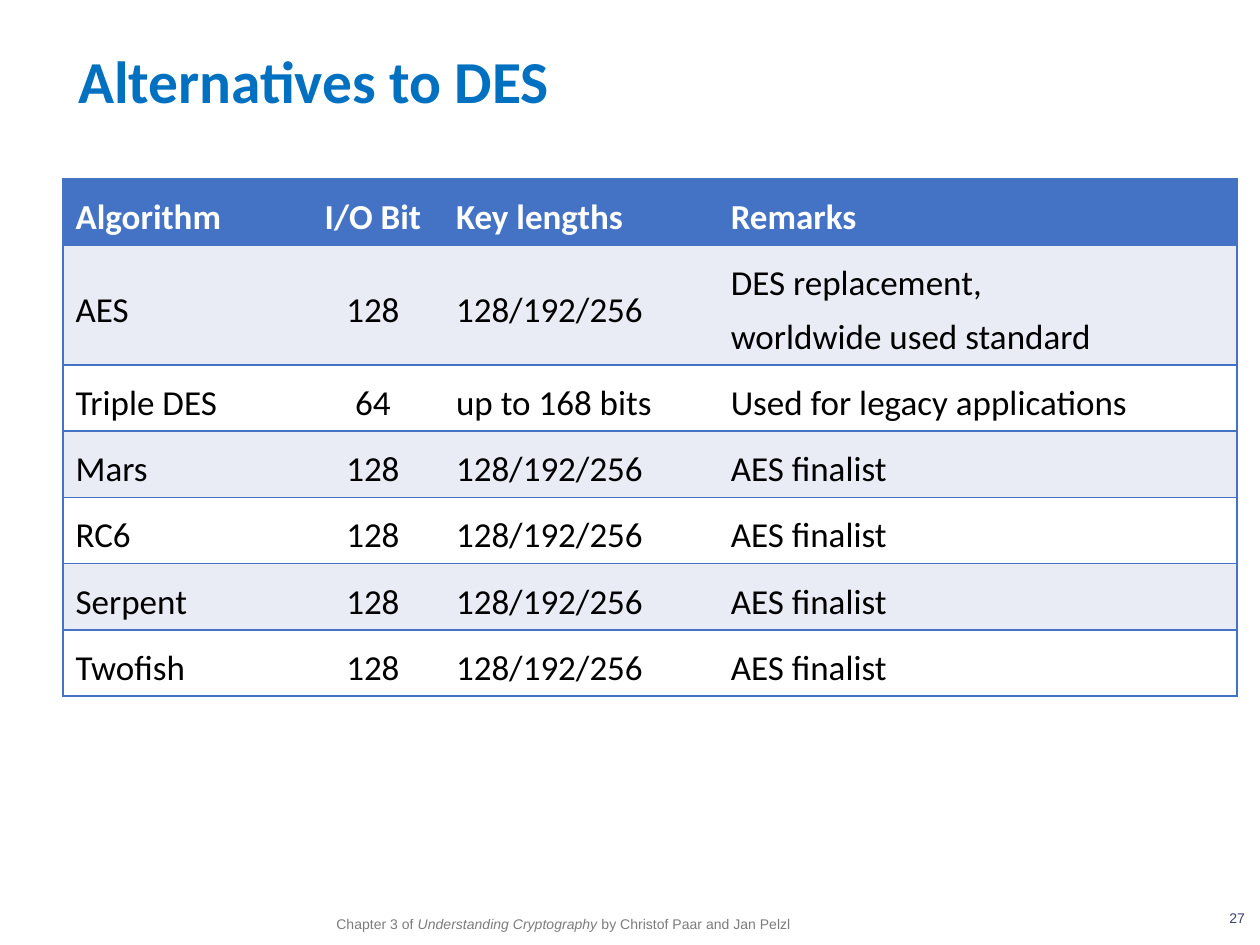
from lxml import etree
from pptx import Presentation
from pptx.dml.color import RGBColor
from pptx.enum.text import MSO_ANCHOR, MSO_AUTO_SIZE, PP_ALIGN
from pptx.oxml.ns import qn
from pptx.util import Inches, Pt

LEFT, CENTER, RIGHT = PP_ALIGN.LEFT, PP_ALIGN.CENTER, PP_ALIGN.RIGHT
MIDDLE = MSO_ANCHOR.MIDDLE
NO_AUTOFIT = MSO_AUTO_SIZE.NONE
PLAIN_TABLE_STYLE = "{2D5ABB26-0587-4C30-8999-92F81FD0307C}"

COLORS = {
    "title": "0070C0",
    "header": "4472C4",
    "band": "E9EBF5",
    "white": "FFFFFF",
    "text": "000000",
    "number": "394073",
    "footer": "7C7C7C",
}

FINALIST = ("128", "128/192/256", "AES finalist")
ALGORITHMS = [
    ("Algorithm", "I/O Bit", "Key lengths", "Remarks"),
    ("AES", "128", "128/192/256", "DES replacement,\nworldwide used standard"),
    ("Triple DES", "64", "up to 168 bits", "Used for legacy applications"),
    *[(name, *FINALIST) for name in ("Mars", "RC6", "Serpent", "Twofish")],
]
COLUMN_WIDTHS = (1.9, 1.12, 2.18, 4.12)
ROW_HEIGHT, TALL_ROW_HEIGHT = 0.44, 0.77


def write(frame, *parts, size, color, font="Calibri", bold=False,
          align=LEFT, spacing=1.0):
    """Write (text, italic) parts as one paragraph; newlines become breaks."""
    paragraph = frame.paragraphs[0]
    paragraph.alignment = align
    paragraph.line_spacing = spacing
    for text, italic in parts:
        for index, line in enumerate(text.split("\n")):
            if index:
                paragraph.add_line_break()
            run = paragraph.add_run()
            run.text = line
            run.font.name = font
            run.font.size = Pt(size)
            run.font.bold = bold
            run.font.italic = italic
            run.font.color.rgb = RGBColor.from_string(COLORS[color])


def place(shape, box):
    shape.left, shape.top, shape.width, shape.height = map(Inches, box)


def add_title(slide, box):
    title = slide.shapes.title
    place(title, box)
    frame = title.text_frame
    frame.auto_size = NO_AUTOFIT
    frame.vertical_anchor = MIDDLE
    write(frame, ("Alternatives to DES", False), size=34, color="title", bold=True)


def add_borders(cell, sides):
    properties = cell._tc.get_or_add_tcPr()
    for side in sides:
        line = etree.SubElement(properties, qn(f"a:ln{side}"), w=str(Pt(1)))
        fill = etree.SubElement(line, qn("a:solidFill"))
        etree.SubElement(fill, qn("a:srgbClr"), val=COLORS["header"])


def add_algorithm_table(slide, box):
    last_column = len(COLUMN_WIDTHS) - 1
    table = slide.shapes.add_table(
        len(ALGORITHMS), len(COLUMN_WIDTHS), *map(Inches, box)).table
    table._tbl.tblPr.find(qn("a:tableStyleId")).text = PLAIN_TABLE_STYLE
    for column, width in zip(table.columns, COLUMN_WIDTHS):
        column.width = Inches(width)

    for r, values in enumerate(ALGORITHMS):
        is_header = r == 0
        is_tall = any("\n" in value for value in values)
        table.rows[r].height = Inches(TALL_ROW_HEIGHT if is_tall else ROW_HEIGHT)
        background = "header" if is_header else "band" if r % 2 else "white"
        for c, value in enumerate(values):
            cell = table.cell(r, c)
            cell.vertical_anchor = MIDDLE
            # Outer sides only at the table edges, rules between all rows
            sides = ["L"] * (c == 0) + ["R"] * (c == last_column) + ["T", "B"]
            add_borders(cell, sides)
            cell.fill.solid()
            cell.fill.fore_color.rgb = RGBColor.from_string(COLORS[background])
            write(cell.text_frame, (value, False), size=20, bold=is_header,
                  color="white" if is_header else "text",
                  align=CENTER if c == 1 else LEFT, spacing=1.25)


def add_small_print(slide, box, *parts, **text_format):
    frame = slide.shapes.add_textbox(*map(Inches, box)).text_frame
    frame.word_wrap = True
    frame.margin_left = frame.margin_right = 0
    frame.margin_top = frame.margin_bottom = 0
    write(frame, *parts, size=8, font="Arial", **text_format)


def main():
    presentation = Presentation()
    presentation.slide_width = Inches(10)
    presentation.slide_height = Inches(7.5)
    slide = presentation.slides.add_slide(presentation.slide_layouts[5])

    add_title(slide, (0.52, 0.35, 7.07, 0.56))
    add_algorithm_table(slide, (0.5, 1.42, 9.32, 3.76))

    # Slide number and source line
    add_small_print(slide, (9.33, 7.22, 0.55, 0.21), ("27", False),
                    color="number", align=RIGHT)
    add_small_print(slide, (2.67, 7.24, 4.73, 0.24),
                    ("Chapter 3 of ", False),
                    ("Understanding Cryptography", True),
                    (" by Christof Paar and Jan Pelzl", False),
                    color="footer", spacing=1.2)

    presentation.save("out.pptx")


if __name__ == "__main__":
    main()
